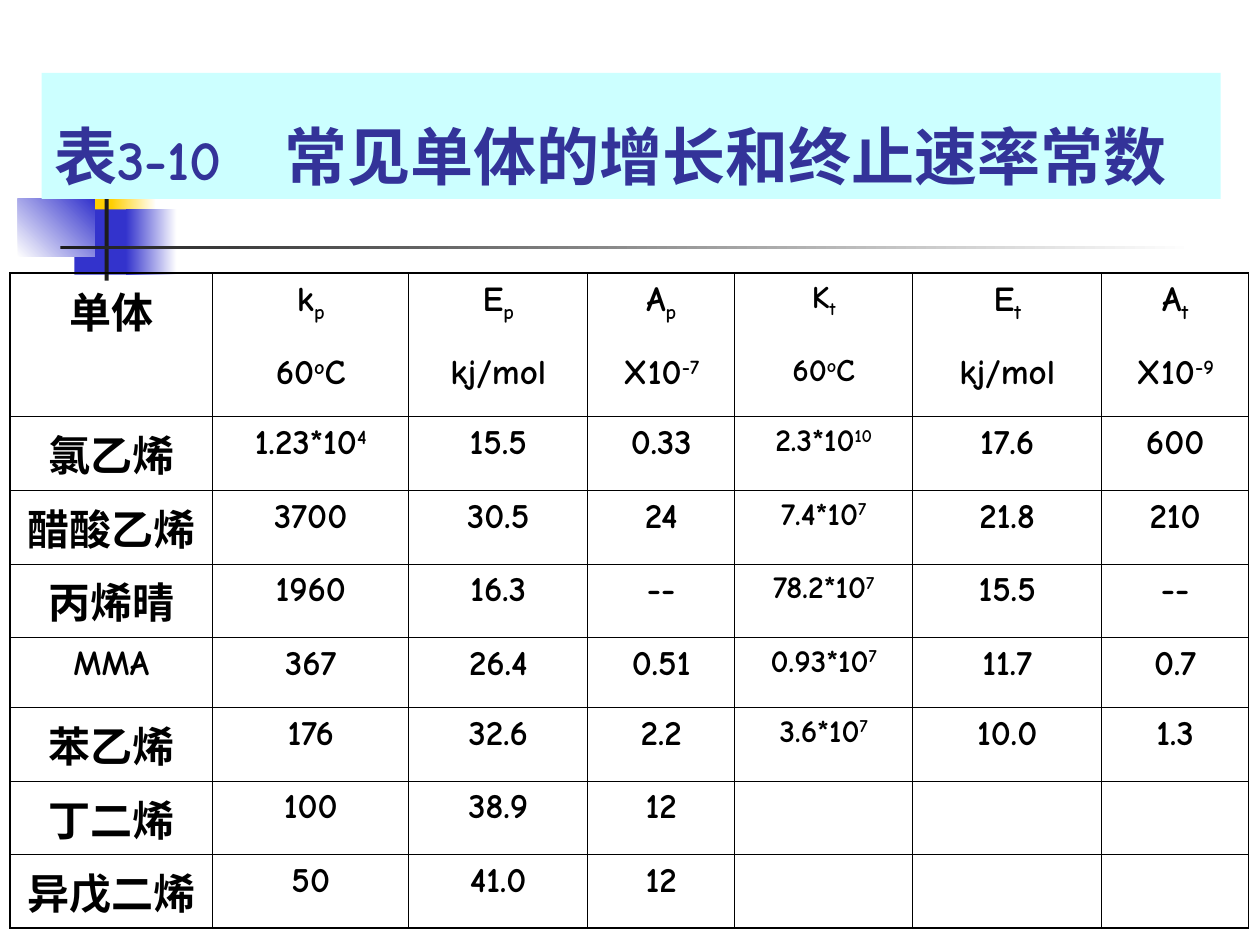
from lxml import etree
from pptx import Presentation
from pptx import util as u
from pptx.dml.color import RGBColor
from pptx.enum import shapes, text
from pptx.oxml.ns import qn

FONT = "Comic Neue"
BLACK = RGBColor(0x00, 0x00, 0x00)
WHITE = RGBColor(0xFF, 0xFF, 0xFF)
YELLOW = RGBColor(0xFF, 0xCF, 0x01)
BLUE = RGBColor(0x33, 0x33, 0xCC)
CHARCOAL = RGBColor(0x1C, 0x1C, 0x1C)
CYAN = RGBColor(0xCC, 0xFF, 0xFF)
INDIGO = RGBColor(0x33, 0x33, 0x99)

# Title: (wording, size); an ideographic space sets off the heading
TITLE = [("表", 36), ("3-10", 32), (" 常见单体的增长和终止速率常数".replace(" ", "　"), 36)]
TITLE_BOX = (0.84, 1.47, 23.77, 2.54)

# Ornament: left, top, width, height in cm, colours, gradient angle
ORNAMENT = [
    (1.17, 3.05, 1.22, 1.32, [YELLOW], 0),
    (2.24, 3.05, 0.91, 1.32, [YELLOW, WHITE], 0),
    (1.5, 4.22, 1.17, 1.32, [BLUE], 0),
    (2.54, 4.22, 1.02, 1.32, [BLUE, WHITE], 0),
    (0.36, 4.01, 1.55, 1.17, [WHITE, BLUE], 45),
    (2.11, 2.74, 0.08, 2.92, [CHARCOAL], 0),
    (1.22, 4.95, 22.86, 0.08, [CHARCOAL, WHITE], 0),
]

# Table: "_" encloses a subscript, "^" a superscript
ROWS = [
    ["单体", "k_p", "E_p", "A_p", "K_t", "E_t", "A_t"],
    ["", "60^o^C", "kj/mol", "X10^-7", "60^o^C", "kj/mol", "X10^-9"],
    ["氯乙烯", "1.23*10^4", "15.5", "0.33", "2.3*10^10", "17.6", "600"],
    ["醋酸乙烯", "3700", "30.5", "24", "7.4*10^7", "21.8", "210"],
    ["丙烯晴", "1960", "16.3", "--", "78.2*10^7", "15.5", "--"],
    ["MMA", "367", "26.4", "0.51", "0.93*10^7", "11.7", "0.7"],
    ["苯乙烯", "176", "32.6", "2.2", "3.6*10^7", "10.0", "1.3"],
    ["丁二烯", "100", "38.9", "12", "", "", ""],
    ["异戊二烯", "50", "41.0", "12", "", "", ""],
]
COLUMN_WIDTHS = [4.09, 3.95, 3.61, 2.96, 3.59, 3.81, 2.96]
ROW_HEIGHT = 1.41
TABLE_LEFT, TABLE_TOP = 0.2, 5.51
KT_COLUMN = 4
OUTER, INNER = 1.08, 0.45
BASELINES = {"_": "-25000", "^": "30000"}


def add_text(para, wording, size=20, color=BLACK, baseline=None):
    span = para.add_run()
    span.text = wording
    span.font.name = FONT
    span.font.size = u.Pt(size)
    span.font.bold = True
    span.font.color.rgb = color
    if baseline:
        span.font._element.set("baseline", baseline)


def add_block(page, left, top, width, height, colors, angle=0):
    block = page.shapes.add_shape(
        shapes.MSO_SHAPE.RECTANGLE, u.Cm(left), u.Cm(top), u.Cm(width), u.Cm(height))
    block.shadow.inherit = False
    block.line.fill.background()
    if len(colors) == 1:
        block.fill.solid()
        block.fill.fore_color.rgb = colors[0]
    else:
        block.fill.gradient()
        block.fill.gradient_angle = angle
        for stop, color in zip(block.fill.gradient_stops, colors):
            stop.color.rgb = color
    return block


def set_borders(cell, widths):
    properties = cell._tc.get_or_add_tcPr()
    for side, width in widths.items():
        line = etree.SubElement(properties, qn(f"a:ln{side}"))
        if width:
            line.set("w", str(u.Pt(width)))
            fill = etree.SubElement(line, qn("a:solidFill"))
            etree.SubElement(fill, qn("a:srgbClr")).set("val", str(BLACK))
        else:
            etree.SubElement(line, qn("a:noFill"))


def cell_size(row, column):
    if column == 0 and ROWS[row][0] != "MMA":
        return 24
    return 18 if column == KT_COLUMN else 20


def add_rate_table(page):
    last_row, last_column = len(ROWS) - 1, len(COLUMN_WIDTHS) - 1
    table = page.shapes.add_table(
        len(ROWS), len(COLUMN_WIDTHS), u.Cm(TABLE_LEFT), u.Cm(TABLE_TOP),
        u.Cm(sum(COLUMN_WIDTHS)), u.Cm(ROW_HEIGHT * len(ROWS))).table
    table.first_row = table.horz_banding = False
    for column, width in zip(table.columns, COLUMN_WIDTHS):
        column.width = u.Cm(width)
    for r, values in enumerate(ROWS):
        table.rows[r].height = u.Cm(ROW_HEIGHT)
        for c, value in enumerate(values):
            cell = table.cell(r, c)
            # The two header rows share no line between them
            set_borders(cell, {
                "L": OUTER if c == 0 else INNER,
                "R": OUTER if c == last_column else INNER,
                "T": {0: OUTER, 1: 0}.get(r, INNER),
                "B": {0: 0, last_row: OUTER}.get(r, INNER),
            })
            cell.fill.background()
            para = cell.text_frame.paragraphs[0]
            para.alignment = text.PP_ALIGN.CENTER
            mark = "_" if "_" in value else "^"
            for i, part in enumerate(value.split(mark)):
                if part:
                    add_text(para, part, size=cell_size(r, c),
                             baseline=BASELINES[mark] if i % 2 else None)


def main():
    deck = Presentation()
    deck.slide_width, deck.slide_height = u.Cm(25.4), u.Cm(19.05)
    page = deck.slides.add_slide(deck.slide_layouts[6])

    # Ornament behind the title
    for *place, colors, angle in ORNAMENT:
        add_block(page, *place, colors, angle)

    # Title band
    frame = add_block(page, *TITLE_BOX, [CYAN]).text_frame
    frame.word_wrap = True
    frame.vertical_anchor = text.MSO_ANCHOR.BOTTOM
    para = frame.paragraphs[0]
    para.alignment = text.PP_ALIGN.LEFT
    for wording, size in TITLE:
        add_text(para, wording, size=size, color=INDIGO)

    # Rate constants
    add_rate_table(page)
    deck.save("out.pptx")


if __name__ == "__main__":
    main()
